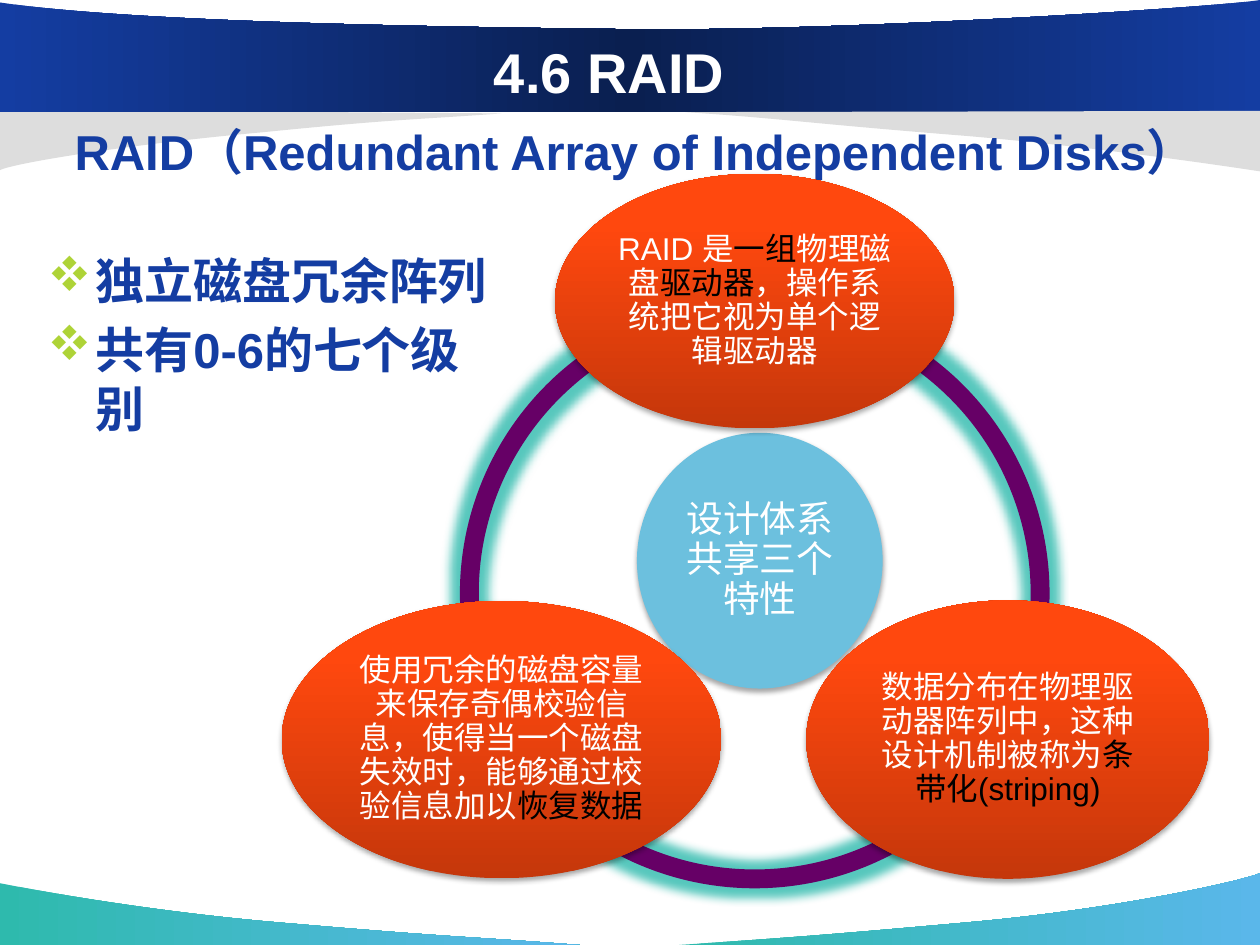
"""Build the RAID overview slide with a ring of three shared design traits."""
import math

from lxml import etree
from pptx import Presentation
from pptx.dml.color import RGBColor
from pptx.enum.shapes import MSO_SHAPE
from pptx.enum.text import MSO_ANCHOR, PP_ALIGN
from pptx.oxml.ns import qn
from pptx.util import Inches, Pt

OVAL, ARC = MSO_SHAPE.OVAL, MSO_SHAPE.BLOCK_ARC
MIDDLE, TOP = MSO_ANCHOR.MIDDLE, MSO_ANCHOR.TOP
CENTER, LEFT = PP_ALIGN.CENTER, PP_ALIGN.LEFT

WHITE = RGBColor(0xFF, 0xFF, 0xFF)
BLACK = RGBColor(0, 0, 0)
BLUE = RGBColor(0x14, 0x3D, 0xA2)
NAVY = RGBColor(0x0A, 0x1F, 0x50)
GRAY = RGBColor(0xDD, 0xDD, 0xDD)
TEAL = RGBColor(0x2E, 0xBA, 0xAD)
SKY = RGBColor(0x5A, 0xB7, 0xEA)
PURPLE = RGBColor(0x66, 0x00, 0x66)
HUB_BLUE = RGBColor(0x6C, 0xC0, 0xDE)
LIME = RGBColor(0xAE, 0xD3, 0x37)
RUST = RGBColor(0xC5, 0x37, 0x0B)
ORANGE = RGBColor(0xFF, 0x48, 0x0E)
BRIGHT = RGBColor(0xFF, 0x49, 0x10)

FONT = "Arial"
COLUMNS, ROWS = 10, 7.5
CELL = Inches(1)

FOOTER_STOPS = [(0, TEAL), (100, SKY)]
HEADER_STOPS = [(0, BLUE), (50, NAVY), (100, BLUE)]
NODE_STOPS = [(0, RUST), (80, ORANGE), (100, BRIGHT)]

BANDS = [
    {"fill": FOOTER_STOPS, "start": (4.6, 7.5),
     "curves": [[(3.84, 7.44), (3.58, 7.44), (2.32, 7.33)],
                [(1.06, 7.23), (0.01, 7.01), (0, 7.01)]],
     "corners": [(0, ROWS)]},
    {"fill": FOOTER_STOPS, "start": (5.39, 7.5),
     "curves": [[(6.14, 7.45), (6.46, 7.43), (7.69, 7.32)],
                [(8.92, 7.21), (9.9, 6.98), (10, 6.93)]],
     "corners": [(COLUMNS, ROWS)]},
    {"fill": GRAY, "start": (3.98, 0.9),
     "curves": [[(3.31, 0.95), (3.18, 0.94), (2.08, 1.05)],
                [(0.97, 1.15), (0.09, 1.3), (0, 1.35)]],
     "corners": [(0, 0.87)]},
    {"fill": HEADER_STOPS, "start": (10, 0),
     "curves": [[(9.64, 0.06), (6.53, 0.26), (4.87, 0.23)],
                [(3.21, 0.21), (1.01, 0.17), (0, 0.02)]],
     "corners": [(0, 0.89), (COLUMNS, 0.89)]},
    {"fill": GRAY, "start": (5.44, 0.89),
     "curves": [[(6.2, 0.94), (6.42, 0.98), (7.68, 1.08)],
                [(8.94, 1.19), (9.99, 1.36), (10, 1.36)]],
     "corners": [(COLUMNS, 0.88)]},
]

CHAPTER = "4.6 RAID"
TITLE = "RAID（Redundant Array of Independent Disks）"
POINTS = ["独立磁盘冗余阵列", "共有0-6的七个级别"]
HUB = [("设计体系共享三个特性", WHITE)]
NODES = [
    (270, (3.17, 2.02), [("RAID 是", WHITE), ("一组", BLACK), ("物理磁盘", WHITE),
                         ("驱动器", BLACK), ("，操作系统把它视为单个逻辑驱动器", WHITE)]),
    (30, (3.2, 2.21), [("数据分布在物理驱动器阵列中，这种设计机制被称为", WHITE),
                       ("条带化(striping)", BLACK)]),
    (150, (3.49, 2.2), [("使用冗余的磁盘容量来保存奇偶校验信息，使得当一个磁盘失效时，"
                         "能够通过校验信息加以", WHITE), ("恢复数据", BLACK)]),
]
RING_CENTER, RING_SIZE, ORBIT = (5.99, 4.71), 4.68, 2.32
RING_THICKNESS = 0.032
HUB_CENTER, HUB_SIZE = (6.03, 4.45), (1.95, 2.03)


def cells(*values):
    return [round(value * CELL) for value in values]


def paint(shape, fill, angle=0):
    shape.shadow.inherit = False
    shape.line.fill.background()
    if isinstance(fill, RGBColor):
        shape.fill.solid()
        shape.fill.fore_color.rgb = fill
        return
    shape.fill.gradient()
    shape.fill.gradient_angle = angle
    stops = shape.element.spPr.find(".//" + qn("a:gsLst"))
    stops.clear()
    for position, color in fill:
        stop = etree.SubElement(stops, qn("a:gs"), pos=str(position * 1000))
        etree.SubElement(stop, qn("a:srgbClr"), val=str(color))


def add_effect(shape, kind, color, alpha, **settings):
    effects = shape.element.spPr.find(qn("a:effectLst"))
    effect = etree.SubElement(effects, qn("a:" + kind),
                              {name: str(value) for name, value in settings.items()})
    tint = etree.SubElement(effect, qn("a:srgbClr"), val=str(color))
    etree.SubElement(tint, qn("a:alpha"), val=str(alpha * 1000))


def add_band(page, fill, start, curves, corners):
    controls = [point for curve in curves for point in curve]
    builder = page.shapes.build_freeform(*cells(*start))
    builder.add_line_segments([cells(*point) for point in controls + corners], close=True)
    band = builder.convert_to_shape()
    lines = band.element.spPr.findall(".//" + qn("a:lnTo"))
    for first in range(0, len(controls), 3):
        bend = etree.Element(qn("a:cubicBezTo"))
        lines[first].addprevious(bend)
        for line in lines[first:first + 3]:
            bend.append(line[0])
            line.getparent().remove(line)
    paint(band, fill)


def add_centered(page, kind, center, size):
    corner = [middle - length / 2 for middle, length in zip(center, size)]
    return page.shapes.add_shape(kind, *cells(*corner, *size))


def add_span(para, text, size, color, bold=False):
    span = para.add_run()
    span.text = text
    span.font.name, span.font.size = FONT, Pt(size)
    span.font.bold, span.font.color.rgb = bold, color


def add_text_box(page, area, anchor):
    frame = page.shapes.add_textbox(*cells(*area)).text_frame
    frame.word_wrap, frame.vertical_anchor = True, anchor
    return frame


def add_heading(page, area, text, size, color, anchor):
    para = add_text_box(page, area, anchor).paragraphs[0]
    para.alignment = CENTER
    add_span(para, text, size, color, bold=True)


def add_bullet(para):
    properties = para._p.get_or_add_pPr()
    properties.set("marL", str(Inches(0.38)))
    properties.set("indent", str(-Inches(0.38)))
    tint = etree.SubElement(properties, qn("a:buClr"))
    etree.SubElement(tint, qn("a:srgbClr"), val=str(LIME))
    etree.SubElement(properties, qn("a:buFont"), typeface="Wingdings", charset="2")
    etree.SubElement(properties, qn("a:buChar"), char="v")


def add_oval(page, center, size, fill, spans, text_size):
    oval = add_centered(page, OVAL, center, size)
    paint(oval, fill, angle=90)
    add_effect(oval, "outerShdw", BLACK, 35, blurRad=Pt(3.1), dist=Pt(1.8), dir=5400000)
    frame = oval.text_frame
    frame.word_wrap, frame.vertical_anchor = True, MIDDLE
    frame.margin_left = frame.margin_right = Inches(0.03)
    frame.margin_top = frame.margin_bottom = Inches(0.03)
    para = frame.paragraphs[0]
    para.alignment, para.line_spacing = CENTER, 0.9
    para._p.get_or_add_pPr().set("hangingPunct", "0")
    for text, color in spans:
        add_span(para, text, text_size, color)


def main():
    deck = Presentation()
    deck.slide_width, deck.slide_height = cells(COLUMNS, ROWS)
    page = deck.slides.add_slide(deck.slide_layouts[6])
    for band in BANDS:
        add_band(page, **band)
    add_heading(page, (0.08, 0.88, 9.92, 0.63), TITLE, 28, BLUE, MIDDLE)
    for begin, _, _ in NODES:
        arc = add_centered(page, ARC, RING_CENTER, (RING_SIZE, RING_SIZE))
        end = (begin + 120) % 360
        for index, value in enumerate((begin * 0.6, end * 0.6, RING_THICKNESS)):
            arc.adjustments[index] = value
        paint(arc, PURPLE)
        add_effect(arc, "glow", TEAL, 80, rad=Pt(11))
    add_oval(page, HUB_CENTER, HUB_SIZE, HUB_BLUE, HUB, 21)
    for degrees, size, spans in NODES:
        turn = math.radians(degrees)
        center = (RING_CENTER[0] + ORBIT * math.cos(turn),
                  RING_CENTER[1] + ORBIT * math.sin(turn))
        add_oval(page, center, size, NODE_STOPS, spans, 18)
    add_heading(page, (0.92, 0.25, 7.83, 0.62), CHAPTER, 32, WHITE, TOP)
    frame = add_text_box(page, (0.28, 1.94, 3.7, 1.65), TOP)
    for index, text in enumerate(POINTS):
        para = frame.add_paragraph() if index else frame.paragraphs[0]
        add_bullet(para)
        para.alignment, para.space_before = LEFT, Pt(5.6 if index else 0)
        add_span(para, text, 28, BLUE, bold=True)
    deck.save("out.pptx")


if __name__ == "__main__":
    main()
